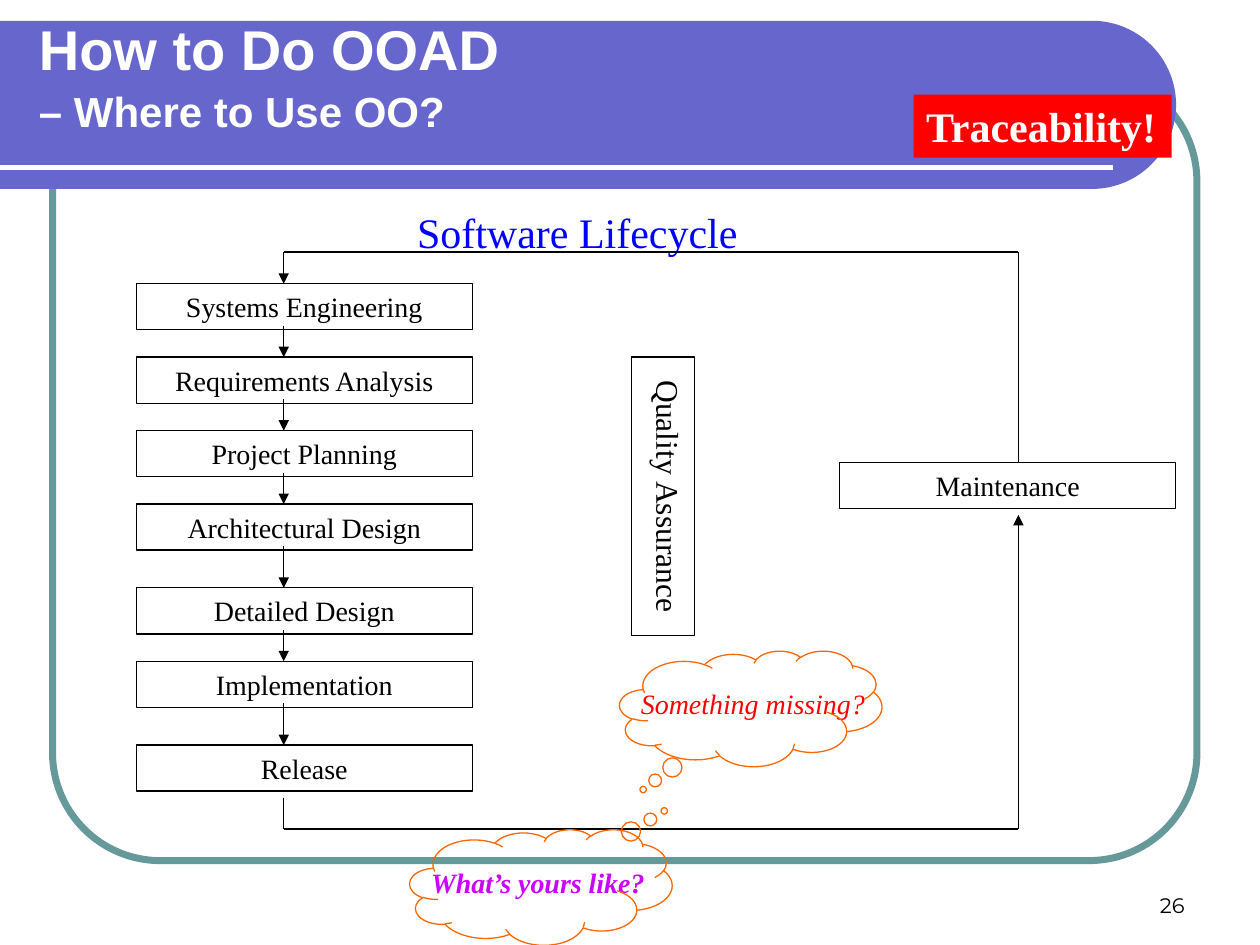
import math
from lxml import etree
from pptx import Presentation
from pptx import util as u
from pptx.dml import color
from pptx.enum import shapes, text
from pptx.oxml import ns

Cm, Pt = u.Cm, u.Pt
SERIF = "Times New Roman"
LEFT, CENTER, RIGHT = text.PP_ALIGN.LEFT, text.PP_ALIGN.CENTER, text.PP_ALIGN.RIGHT


def rgb(value):
    return color.RGBColor.from_string(value)


def paint(sp, fill=None, line=None, width=0.74):
    sp.shadow.inherit = False
    if fill:
        sp.fill.solid()
        sp.fill.fore_color.rgb = rgb(fill)
    else:
        sp.fill.background()
    if line:
        sp.line.color.rgb = rgb(line)
        sp.line.width = Pt(width)
    else:
        sp.line.fill.background()


def style(p, size, hue, font=SERIF, bold=False, italic=False, align=LEFT):
    p.alignment = align
    for r in p.runs:
        f = r.font
        f.name, f.size, f.bold, f.italic = font, Pt(size), bold, italic
        f.color.rgb = rgb(hue)


def write(sp, words, size, hue, wrap=True, anchor=text.MSO_ANCHOR.TOP, **kw):
    tf = sp.text_frame
    tf.text = words
    tf.word_wrap = wrap
    tf.vertical_anchor = anchor
    style(tf.paragraphs[0], size, hue, **kw)


def shape(s, kind, x, y, w, h, **kw):
    sp = s.shapes.add_shape(kind, Cm(x), Cm(y), Cm(w), Cm(h))
    paint(sp, **kw)
    return sp


def label(s, x, y, w, h, words, size, hue, **kw):
    sp = s.shapes.add_textbox(Cm(x), Cm(y), Cm(w), Cm(h))
    write(sp, words, size, hue, **kw)


def line(s, x1, y1, x2, y2, arrow=False, hue="000000", width=0.74):
    c = s.shapes.add_connector(shapes.MSO_CONNECTOR.STRAIGHT, Cm(x1), Cm(y1), Cm(x2), Cm(y2))
    c.line.color.rgb = rgb(hue)
    c.line.width = Pt(width)
    if arrow:
        etree.SubElement(c.line._get_or_add_ln(), ns.qn("a:tailEnd"), type="triangle")
    etree.SubElement(c._element.spPr, ns.qn("a:effectLst"))


def backdrop(s, x, y, w, h):
    frame = shape(s, shapes.MSO_SHAPE.ROUNDED_RECTANGLE, x + 1.06, y + 1.06, 23.07, 15.87,
                  line="669999", width=4)
    frame.adjustments[0] = 0.137
    radius = h / 2
    angles = [math.radians(a) for a in range(-90, 91, 3)]
    arc = [(Cm(x + w - radius + radius * math.cos(a)), Cm(y + radius + radius * math.sin(a)))
           for a in angles]
    fb = s.shapes.build_freeform(Cm(x), Cm(y))
    fb.add_line_segments(arc + [(Cm(x), Cm(y + h))], close=True)
    paint(fb.convert_to_shape(), fill="6666CC")
    line(s, x, y + 2.95, x + 22.44, y + 2.95, hue="FFFFFF", width=3)


def heading(s, x, y, w, h):
    sp = s.shapes.title
    sp.left, sp.top, sp.width, sp.height = Cm(x), Cm(y), Cm(w), Cm(h)
    tf = sp.text_frame
    tf.text = "How to Do OOAD\n– Where to Use OO?"
    tf.word_wrap = True
    tf.auto_size = text.MSO_AUTO_SIZE.NONE
    tf.vertical_anchor = text.MSO_ANCHOR.MIDDLE
    tf.margin_bottom = Cm(0.92)
    for p, size in zip(tf.paragraphs, (32, 24)):
        style(p, size, "FFFFFF", font="Arial", bold=True)
    tf.paragraphs[1].space_before = Pt(2)
    sp._element.getparent().append(sp._element)


def step(s, x, y, words):
    sp = shape(s, shapes.MSO_SHAPE.RECTANGLE, x, y, 6.77, 0.93, line="000000")
    write(sp, words, 16, "000000", align=CENTER)


def lifecycle(s, x, y):
    steps = [("Systems Engineering", 0), ("Requirements Analysis", 1.48),
             ("Project Planning", 1.48), ("Architectural Design", 1.48),
             ("Detailed Design", 1.69), ("Implementation", 1.48), ("Release", 1.69)]
    flow, back = x + 2.97, x + 17.78
    top = y
    for words, gap in steps:
        top += gap
        step(s, x, top, words)
        if gap:
            line(s, flow, top - gap + 0.85, flow, top, arrow=True)
    care = y + 3.6
    step(s, x + 14.18, care, "Maintenance")
    quality = shape(s, shapes.MSO_SHAPE.RECTANGLE, x + 9.98, y + 1.48, 1.27, 5.61, line="000000")
    write(quality, "Quality Assurance", 18, "000000")
    tf = quality.text_frame
    tf._txBody.bodyPr.set("vert", "eaVert")
    tf.margin_left = tf.margin_right = Cm(0.13)
    tf.margin_top, tf.margin_bottom = Cm(0.47), Cm(0.25)
    label(s, x + 3.81, y - 1.69, 10.16, 1.27, "Software Lifecycle", 24, "0000FF", align=CENTER)
    roof, floor = y - 0.64, top + 1.69
    line(s, flow, top + 1.06, flow, floor)
    line(s, flow, floor, back, floor)
    line(s, back, floor, back, care + 1.06, arrow=True)
    line(s, back, care, back, roof)
    line(s, flow, roof, back, roof)
    line(s, flow, roof, flow, y, arrow=True)


def thought(s, x, y, words, hue, tail, bold=False):
    label(s, x + 0.18, y + 0.6, 5.2, 0.93, words, 16, hue, wrap=False, bold=bold, italic=True)
    cloud = shape(s, shapes.MSO_SHAPE.CLOUD_CALLOUT, x, y, 5.29, 2.33, line="FF6600")
    cloud.adjustments[0], cloud.adjustments[1] = tail


def badge(s, x, y, w, h):
    sp = shape(s, shapes.MSO_SHAPE.RECTANGLE, x, y, w, h, fill="FF0000")
    write(sp, "Traceability!", 24, "FFFFFF", wrap=False, bold=True)


prs = Presentation()
prs.slide_width, prs.slide_height = Cm(25.4), Cm(19.05)
s = prs.slides.add_slide(prs.slide_layouts[5])
backdrop(s, 0, 0.42, 23.71, 3.39)
lifecycle(s, 2.75, 5.72)
heading(s, 0.53, 0.64, 22.28, 2.54)
badge(s, 18.42, 1.91, 5.2, 1.27)
thought(s, 12.49, 13.12, "Something missing?", "FF0000", (-0.41, 0.7))
thought(s, 8.26, 16.72, "What’s yours like?", "CC00FF", (0.47, -0.66), bold=True)
label(s, 18.2, 17.36, 5.93, 1.27, "26", 12, "000000", font="Montserrat",
      anchor=text.MSO_ANCHOR.BOTTOM, align=RIGHT)
prs.save("out.pptx")
